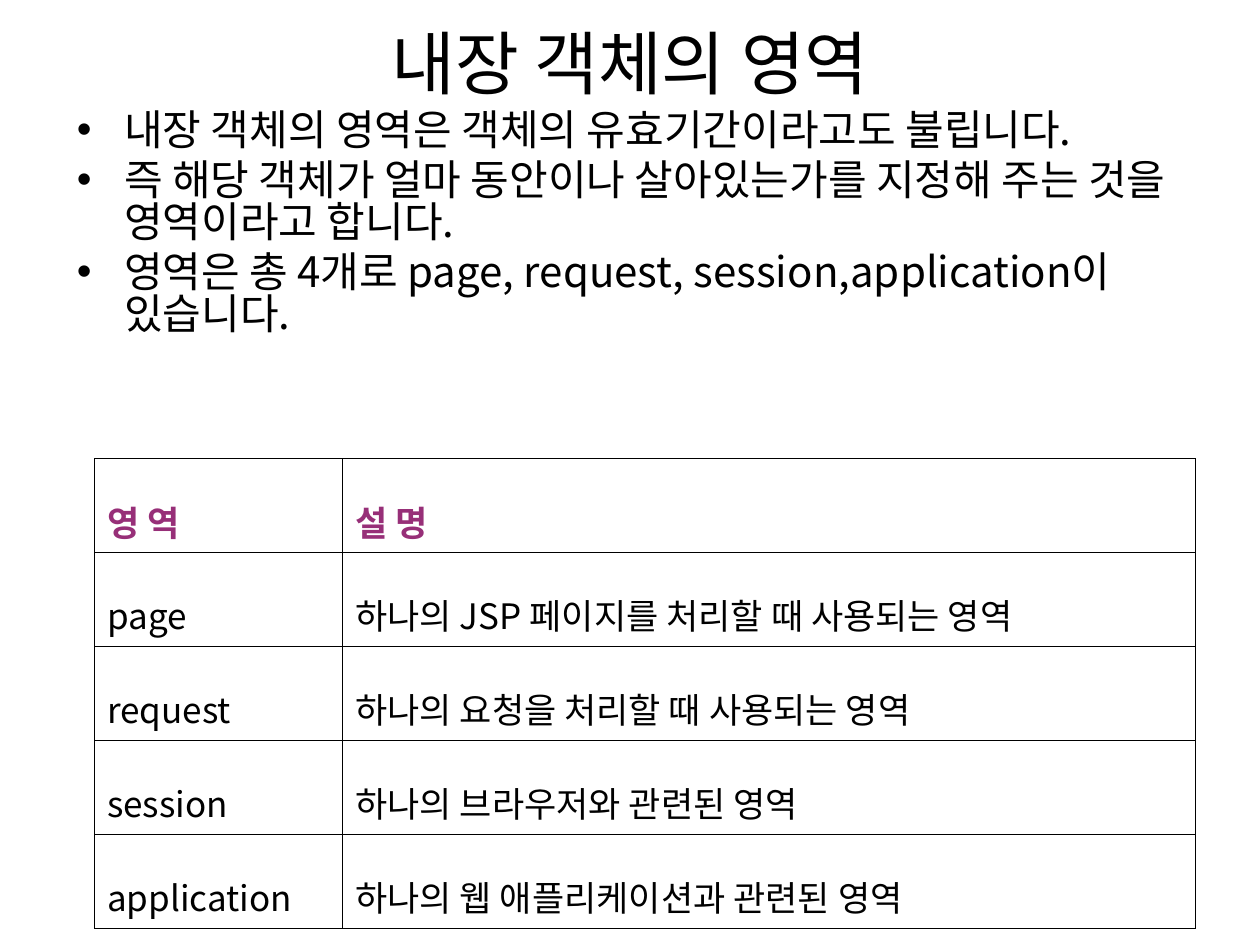
import pptx
import pptx.dml.color
import pptx.enum.text
import pptx.oxml
import pptx.oxml.ns
import pptx.util

Pt = pptx.util.Pt
ALIGN = pptx.enum.text.PP_ALIGN
ANCHOR = pptx.enum.text.MSO_ANCHOR
FONT = "Noto Sans CJK KR"
COLORS = {"text": "000000", "header": "972F78", "border": "000000"}

TITLE = "내장 객체의 영역"
POINTS = [
    "내장 객체의 영역은 객체의 유효기간이라고도 불립니다.",
    "즉 해당 객체가 얼마 동안이나 살아있는가를 지정해 주는 것을 영역이라고 합니다.",
    "영역은 총 4개로 page, request, session,application이 있습니다.",
]
SCOPES = [
    ("영 역", "설 명"),
    ("page", "하나의 JSP 페이지를 처리할 때 사용되는 영역"),
    ("request", "하나의 요청을 처리할 때 사용되는 영역"),
    ("session", "하나의 브라우저와 관련된 영역"),
    ("application", "하나의 웹 애플리케이션과 관련된 영역"),
]


def set_values(target, **values):
    """Set each named value as an attribute of the target."""
    for name, value in values.items():
        setattr(target, name, value)


def place(shape, box):
    """Move a shape to a (left, top, width, height) box in points."""
    names = ("left", "top", "width", "height")
    set_values(shape, **{name: Pt(value) for name, value in zip(names, box)})


def write(para, text, size, color="text", bold=False, **layout):
    """Write one formatted span into a paragraph."""
    set_values(para, **layout)
    span = para.add_run()
    span.text = text
    set_values(span.font, name=FONT, size=Pt(size), bold=bold)
    span.font.color.rgb = pptx.dml.color.RGBColor.from_string(COLORS[color])
    east_asian = pptx.oxml.parse_xml(
        f'<a:ea {pptx.oxml.ns.nsdecls("a")} typeface="{FONT}"/>'
    )
    span.font._element.append(east_asian)


def add_border(cell, width):
    """Draw a solid line on all four sides of a cell."""
    properties = cell._tc.get_or_add_tcPr()
    for index, side in enumerate(("lnL", "lnR", "lnT", "lnB")):
        line = pptx.oxml.parse_xml(
            f'<a:{side} {pptx.oxml.ns.nsdecls("a")} w="{Pt(width)}"><a:solidFill>'
            f'<a:srgbClr val="{COLORS["border"]}"/></a:solidFill></a:{side}>'
        )
        properties.insert(index, line)


def fill_title(shape, box):
    """Place the title and write its text."""
    place(shape, box)
    frame = shape.text_frame
    set_values(frame, auto_size=pptx.enum.text.MSO_AUTO_SIZE.NONE,
               vertical_anchor=ANCHOR.MIDDLE, word_wrap=True)
    write(frame.paragraphs[0], TITLE, 39.6, alignment=ALIGN.CENTER)


def fill_points(shape, box):
    """Place the body and write its bulleted points."""
    place(shape, box)
    frame = shape.text_frame
    set_values(frame, auto_size=pptx.enum.text.MSO_AUTO_SIZE.NONE, word_wrap=True)
    for index, text in enumerate(POINTS):
        para = frame.add_paragraph() if index else frame.paragraphs[0]
        write(para, text, 24, line_spacing=0.83, space_before=Pt(4.8 if index else 0))


def add_scopes(page, box, first_width):
    """Add the bordered table of scopes and their descriptions."""
    left, top, width, height = map(Pt, box)
    table = page.shapes.add_table(
        len(SCOPES), len(SCOPES[0]), left, top, width, height
    ).table
    set_values(table, first_row=False, horz_banding=False)
    table.columns[0].width = Pt(first_width)
    table.columns[1].width = width - Pt(first_width)
    for row_index, row in enumerate(SCOPES):
        header = row_index == 0
        for column_index, text in enumerate(row):
            cell = table.cell(row_index, column_index)
            cell.fill.background()
            cell.vertical_anchor = ANCHOR.MIDDLE if header else ANCHOR.TOP
            add_border(cell, 0.56)
            write(cell.text_frame.paragraphs[0], text, 20,
                  color="header" if header else "text", bold=header,
                  alignment=ALIGN.JUSTIFY, line_spacing=1.6)


def main():
    """Build the slide and save the deck."""
    deck = pptx.Presentation()
    set_values(deck, slide_width=Pt(720), slide_height=Pt(540))
    page = deck.slides.add_slide(deck.slide_layouts[1])
    fill_title(page.shapes.title, (36, 21.6, 648, 27.4))
    fill_points(page.placeholders[1], (36.7, 60.5, 648, 170))
    add_scopes(page, (54, 262, 629.3, 268), 141.8)
    deck.save("out.pptx")


if __name__ == "__main__":
    main()
